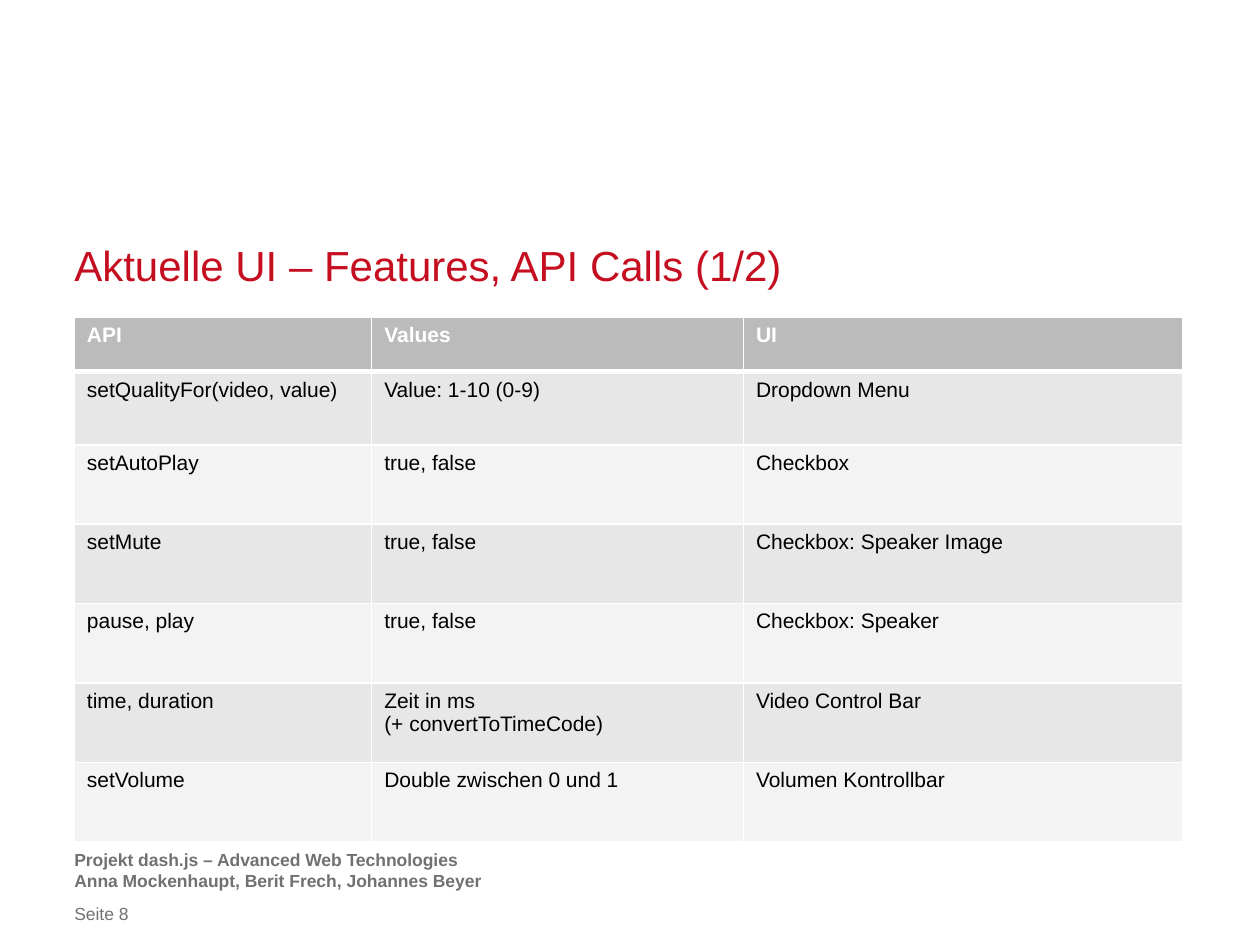
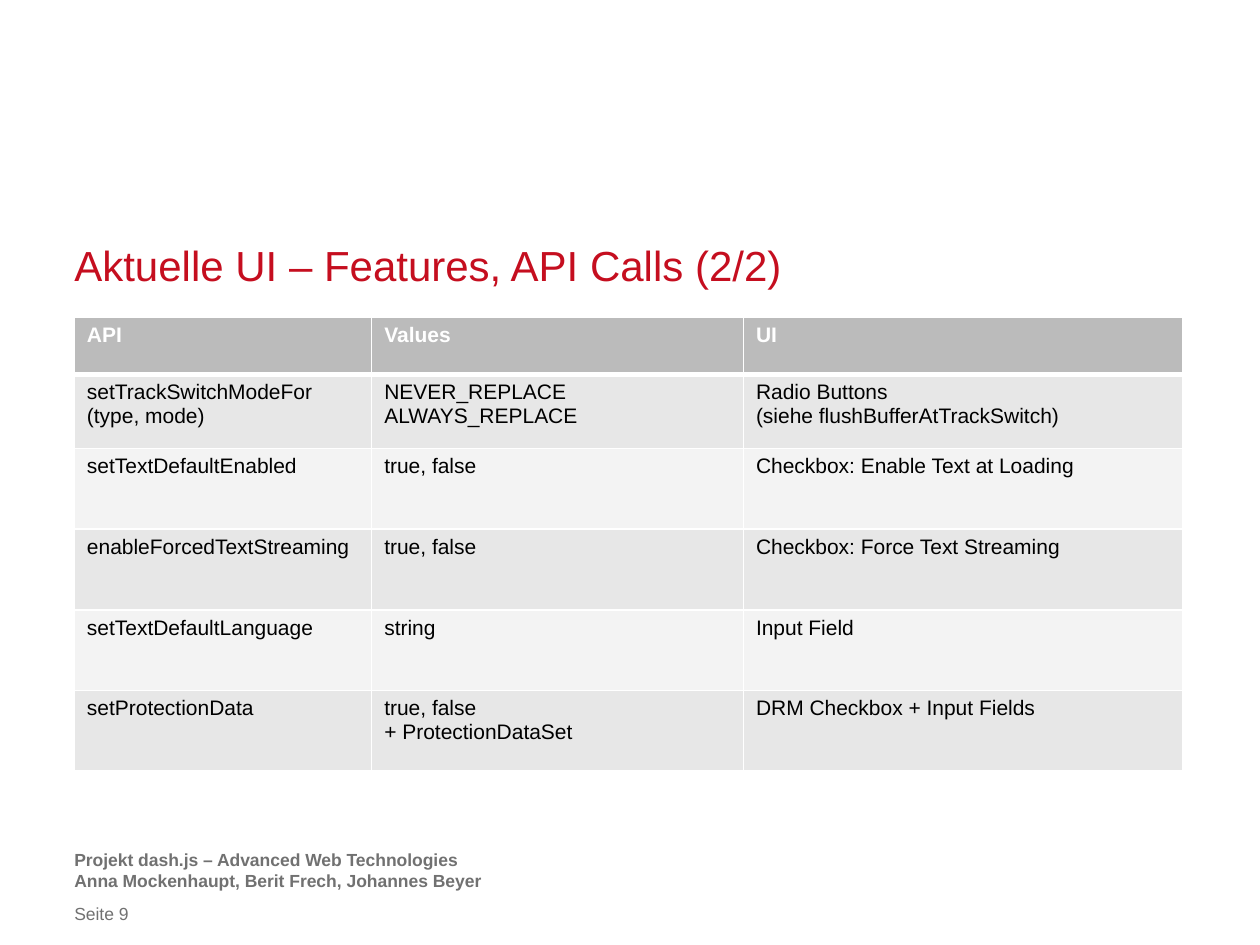
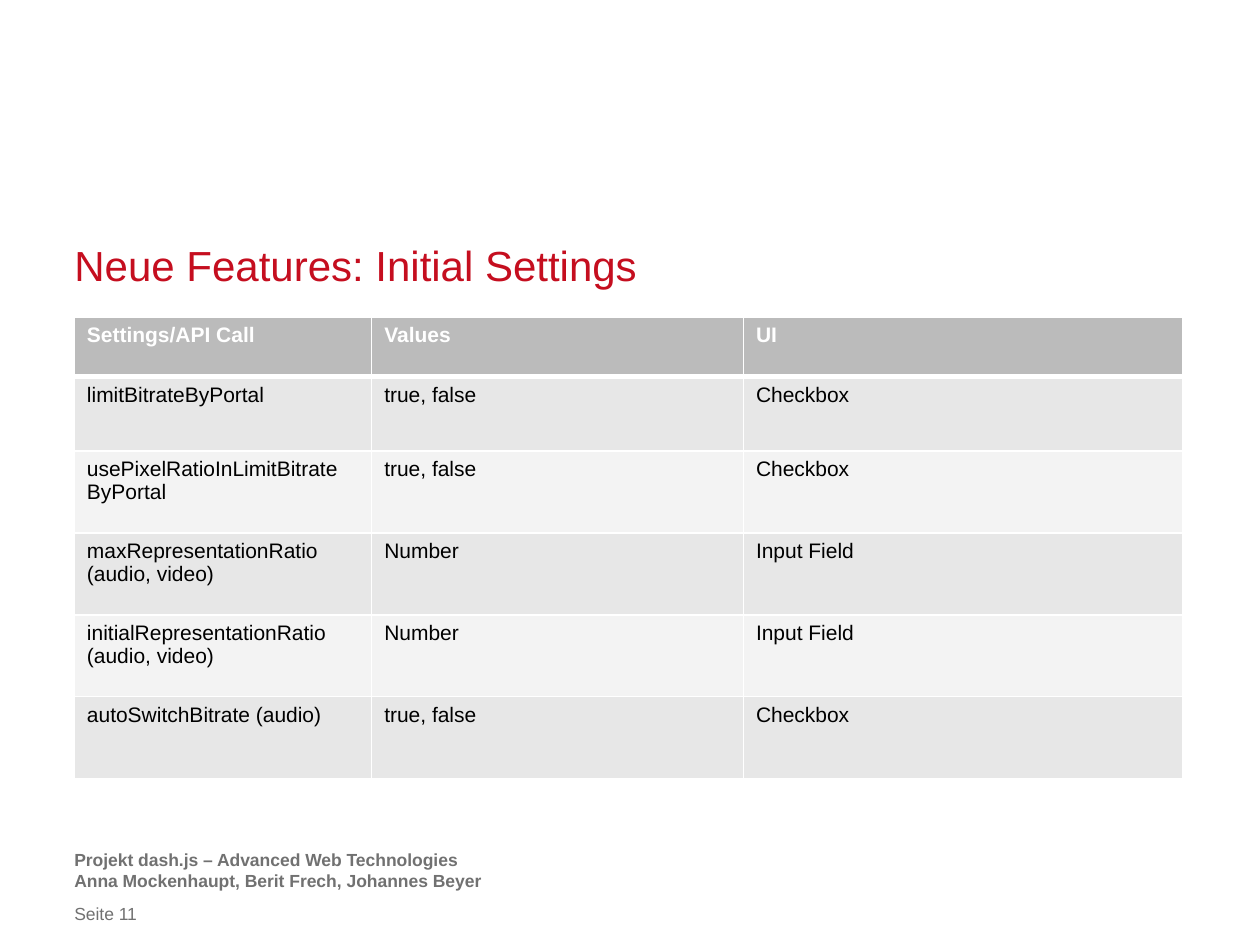
from dataclasses import dataclass

from lxml import etree
from pptx import Presentation
from pptx.dml.color import RGBColor
from pptx.enum.text import MSO_ANCHOR, PP_ALIGN
from pptx.oxml.ns import qn
from pptx.util import Inches, Pt

LEFT = PP_ALIGN.LEFT
TOP = MSO_ANCHOR.TOP
BOTTOM = MSO_ANCHOR.BOTTOM

SLIDE_COLUMNS, SLIDE_ROWS = 100, 75
MARGIN = 5.9
FOOTER_COLUMNS = 72.4
TABLE_TOP = 25.2
TABLE_COLUMNS = (23.6, 29.5, 34.9)
CONTENT_COLUMNS = 88.2
BORDER_SIDES = ("a:lnL", "a:lnR", "a:lnT", "a:lnB")


@dataclass(frozen=True)
class Theme:
    font: str = "Arial"
    title: str = "C50E1F"
    footer: str = "717171"
    header_text: str = "FFFFFF"
    body_text: str = "000000"
    header_fill: str = "BBBBBB"
    band_fills: tuple = ("E7E7E7", "F3F3F3")
    border: str = "FFFFFF"
    border_width: int = 1
    header_rule: int = 3
    title_size: int = 24
    title_leading: int = 30
    table_size: int = 12
    footer_size: int = 10
    footer_leading: int = 12


THEME = Theme()
FOOTER_STYLE = dict(size=THEME.footer_size, color=THEME.footer, leading=THEME.footer_leading)
FOOTER = "Projekt dash.js – Advanced Web Technologies\nAnna Mockenhaupt, Berit Frech, Johannes Beyer"

TABLE_SLIDES = (
    dict(
        title="Aktuelle UI – Features, API Calls (1/2)",
        page=8,
        heights=(4.3, 5.8, 6.3),
        rows=(
            ("API", "Values", "UI"),
            ("setQualityFor(video, value)", "Value: 1-10 (0-9)", "Dropdown Menu"),
            ("setAutoPlay", "true, false", "Checkbox"),
            ("setMute", "true, false", "Checkbox: Speaker Image"),
            ("pause, play", "true, false", "Checkbox: Speaker"),
            ("time, duration", "Zeit in ms\n(+ convertToTimeCode)", "Video Control Bar"),
            ("setVolume", "Double zwischen 0 und 1", "Volumen Kontrollbar"),
        ),
    ),
    dict(
        title="Aktuelle UI – Features, API Calls (2/2)",
        page=9,
        heights=(4.5, 5.9, 6.4),
        rows=(
            ("API", "Values", "UI"),
            (
                "setTrackSwitchModeFor\n(type, mode)",
                "NEVER_REPLACE\nALWAYS_REPLACE",
                "Radio Buttons\n(siehe flushBufferAtTrackSwitch)",
            ),
            ("setTextDefaultEnabled", "true, false", "Checkbox: Enable Text at Loading"),
            ("enableForcedTextStreaming", "true, false", "Checkbox: Force Text Streaming"),
            ("setTextDefaultLanguage", "string", "Input Field"),
            ("setProtectionData", "true, false\n+ ProtectionDataSet", "DRM Checkbox + Input Fields"),
        ),
    ),
    dict(
        title="Neue Features: Initial Settings",
        page=11,
        heights=(4.7, 5.9, 6.5),
        rows=(
            ("Settings/API Call", "Values", "UI"),
            ("limitBitrateByPortal", "true, false", "Checkbox"),
            ("usePixelRatioInLimitBitrate\nByPortal", "true, false", "Checkbox"),
            ("maxRepresentationRatio\n(audio, video)", "Number", "Input Field"),
            ("initialRepresentationRatio\n(audio, video)", "Number", "Input Field"),
            ("autoSwitchBitrate (audio)", "true, false", "Checkbox"),
        ),
    ),
)


def grid(units):
    return Inches(units / 10)


def write_text(frame, text, *, size, color, bold=False, leading=None):
    for index, line in enumerate(text.split("\n")):
        para = frame.add_paragraph() if index else frame.paragraphs[0]
        para.alignment = LEFT
        if leading:
            para.line_spacing = Pt(leading)
        span = para.add_run()
        span.text = line
        span.font.name = THEME.font
        span.font.size = Pt(size)
        span.font.bold = bold
        span.font.color.rgb = RGBColor.from_string(color)


def add_text(slide, text, top, columns, rows, anchor=TOP, **style):
    box = slide.shapes.add_textbox(grid(MARGIN), grid(top), grid(columns), grid(rows))
    frame = box.text_frame
    frame.word_wrap = True
    frame.vertical_anchor = anchor
    frame.margin_left = frame.margin_right = frame.margin_top = frame.margin_bottom = 0
    write_text(frame, text, **style)


def set_borders(cell, widths):
    properties = cell._tc.get_or_add_tcPr()
    for index, (side, width) in enumerate(zip(BORDER_SIDES, widths)):
        line = etree.Element(qn(side), w=str(Pt(width)))
        fill = etree.SubElement(line, qn("a:solidFill"))
        etree.SubElement(fill, qn("a:srgbClr"), val=THEME.border)
        properties.insert(index, line)


def format_cell(cell, text, row):
    header = row == 0
    fill = THEME.header_fill if header else THEME.band_fills[(row - 1) % 2]
    cell.fill.solid()
    cell.fill.fore_color.rgb = RGBColor.from_string(fill)
    cell.vertical_anchor = TOP
    color = THEME.header_text if header else THEME.body_text
    write_text(cell.text_frame, text, size=THEME.table_size, color=color, bold=header)
    top = THEME.header_rule if row == 1 else THEME.border_width
    bottom = THEME.header_rule if header else THEME.border_width
    set_borders(cell, (THEME.border_width, THEME.border_width, top, bottom))


def add_feature_table(slide, rows, heights):
    row_heights = [heights[min(row, 2)] for row in range(len(rows))]
    table = slide.shapes.add_table(
        len(rows), len(TABLE_COLUMNS), grid(MARGIN), grid(TABLE_TOP),
        grid(sum(TABLE_COLUMNS)), grid(sum(row_heights)),
    ).table
    for column, width in zip(table.columns, TABLE_COLUMNS):
        column.width = grid(width)
    for row, (texts, height) in enumerate(zip(rows, row_heights)):
        table.rows[row].height = grid(height)
        for column, text in enumerate(texts):
            format_cell(table.cell(row, column), text, row)


def add_table_slide(deck, title, page, heights, rows):
    slide = deck.slides.add_slide(deck.slide_layouts[6])
    add_text(slide, FOOTER, 67.4, FOOTER_COLUMNS, 3.9, bold=True, **FOOTER_STYLE)
    add_text(slide, f"Seite {page}", 71.7, FOOTER_COLUMNS, 1.7, **FOOTER_STYLE)
    add_text(
        slide, title, 18.8, CONTENT_COLUMNS, 4.2, anchor=BOTTOM,
        size=THEME.title_size, color=THEME.title, leading=THEME.title_leading,
    )
    add_feature_table(slide, rows, heights)


def main():
    deck = Presentation()
    deck.slide_width = grid(SLIDE_COLUMNS)
    deck.slide_height = grid(SLIDE_ROWS)
    for content in TABLE_SLIDES:
        add_table_slide(deck, **content)
    deck.save("out.pptx")


if __name__ == "__main__":
    main()
